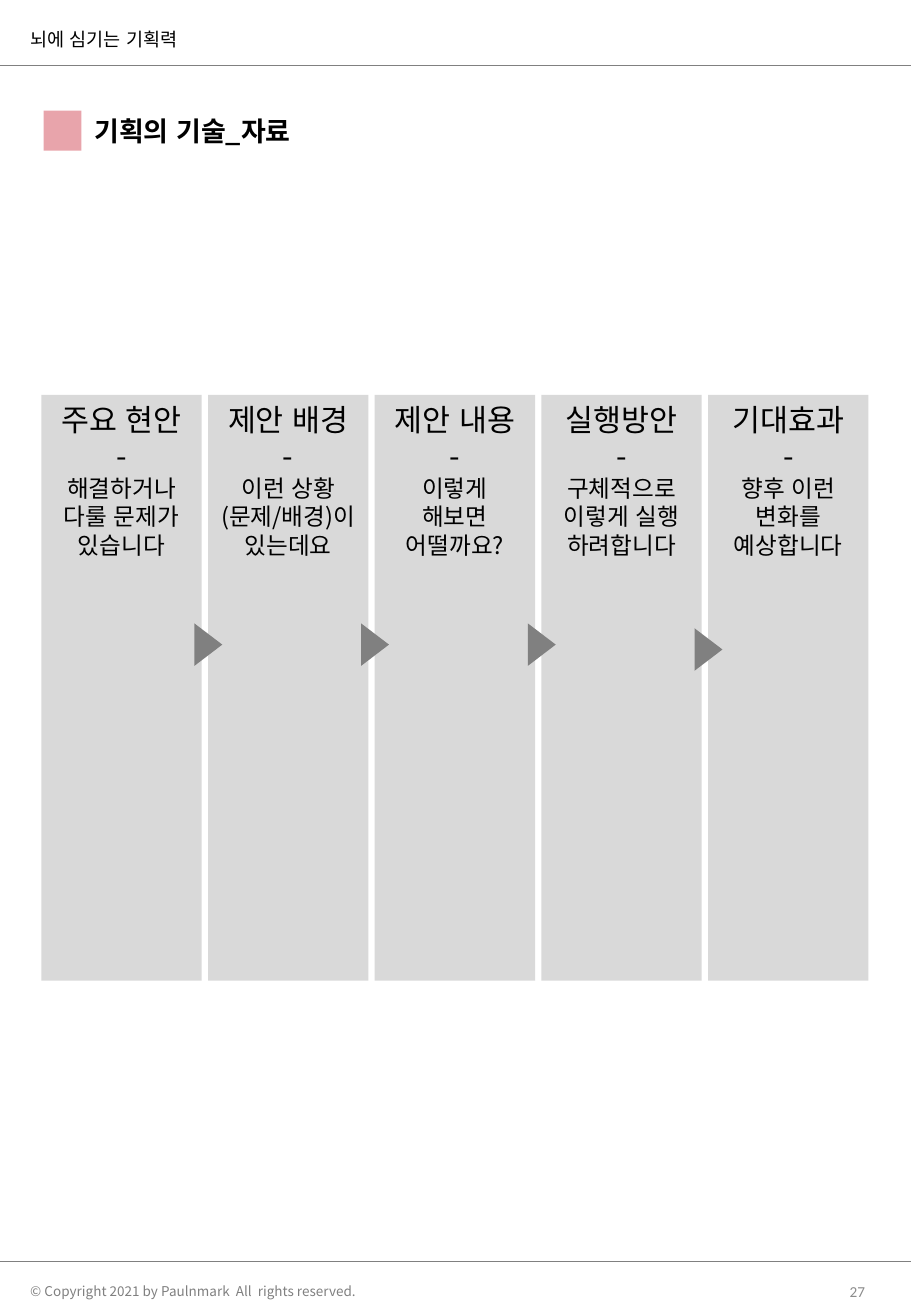
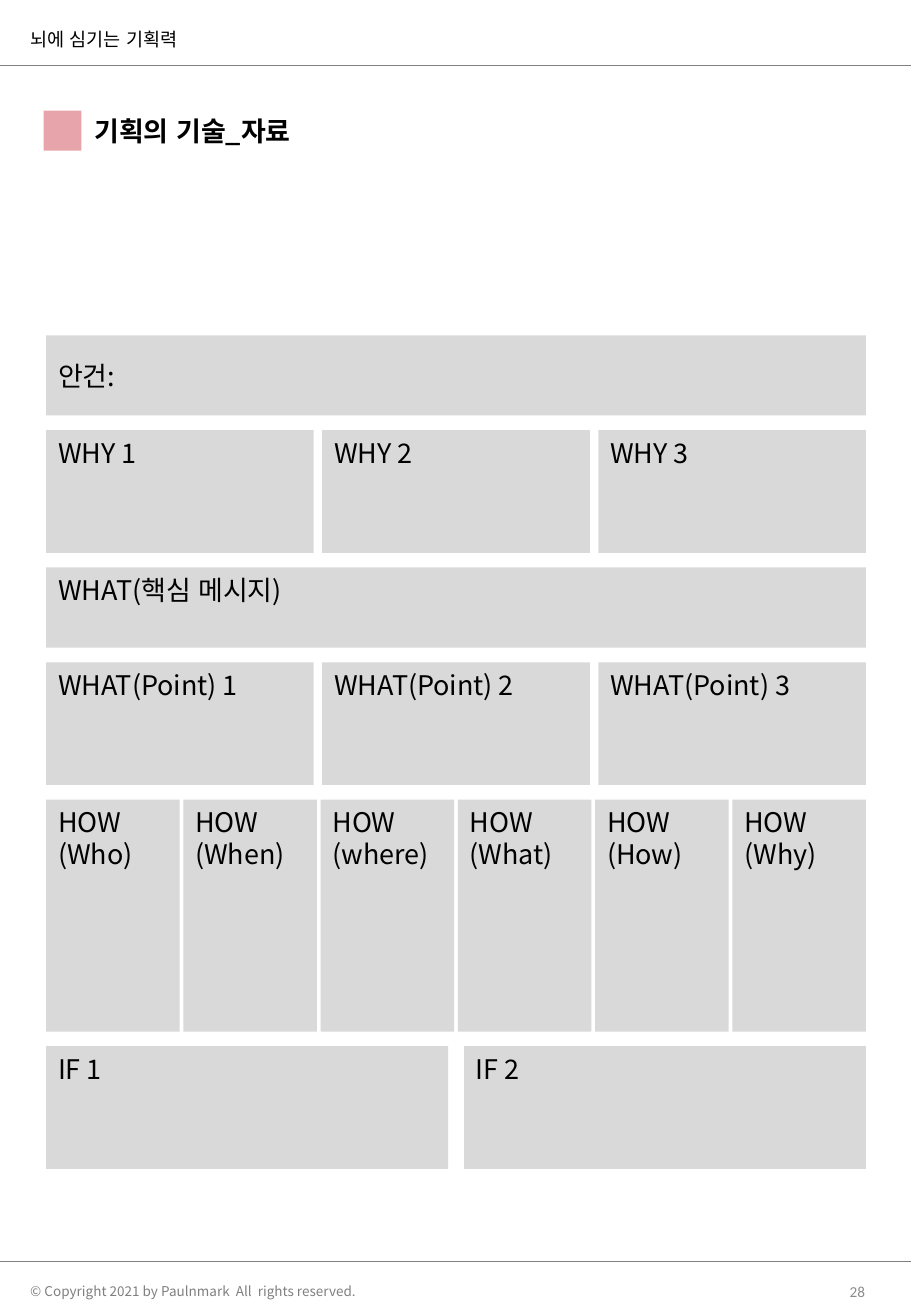
from dataclasses import dataclass
from lxml import etree
from pptx import Presentation
from pptx.dml.color import RGBColor
from pptx.enum.lang import MSO_LANGUAGE_ID
from pptx.enum.shapes import MSO_CONNECTOR, MSO_SHAPE
from pptx.enum.text import MSO_ANCHOR, PP_ALIGN
from pptx.oxml.ns import qn
from pptx.util import Inches, Pt

RECT, ARROW = MSO_SHAPE.RECTANGLE, MSO_SHAPE.ISOSCELES_TRIANGLE
LINE = MSO_CONNECTOR.STRAIGHT
TOP, MIDDLE = MSO_ANCHOR.TOP, MSO_ANCHOR.MIDDLE
LEFT, CENTER, RIGHT = PP_ALIGN.LEFT, PP_ALIGN.CENTER, PP_ALIGN.RIGHT
KOREAN = MSO_LANGUAGE_ID.KOREAN


@dataclass(frozen=True)
class Theme:
    font: str = "Noto Sans CJK KR"
    digit: str = "Calibri"
    ink: RGBColor = RGBColor(0, 0, 0)
    panel: RGBColor = RGBColor(0xD9, 0xD9, 0xD9)
    gray: RGBColor = RGBColor(0x80, 0x80, 0x80)
    number: RGBColor = RGBColor(0x8C, 0x8C, 0x8C)
    accent: RGBColor = RGBColor(0xC7, 0x1C, 0x2D)
    title: int = 16
    head: int = 18
    body: int = 14
    label: int = 16
    topic: int = 11
    legal: int = 8
    page: int = 9


theme = Theme()


def block(slide, kind, x, y, w, h, color):
    """Add a plain filled shape."""
    shape = slide.shapes.add_shape(kind, Inches(x), Inches(y), Inches(w), Inches(h))
    shape.shadow.inherit = False
    shape.fill.solid()
    shape.fill.fore_color.rgb = color
    shape.line.fill.background()
    return shape


def write(shape, lines, align=LEFT, anchor=TOP, color=theme.ink,
          face=theme.font, bold=False, spacing=None):
    """Fill a shape with (text, size) paragraphs."""
    frame = shape.text_frame
    frame.word_wrap = True
    frame.vertical_anchor = anchor
    for i, (text, size) in enumerate(lines):
        para = frame.add_paragraph() if i else frame.paragraphs[0]
        para.text = text
        para.alignment = align
        para.line_spacing = spacing
        font = para.font
        font.size, font.bold = Pt(size), bold
        font.color.rgb = color
        font.name = face
        font.language_id = KOREAN
        # East Asian typeface
        props = para._p.pPr.find(qn("a:defRPr"))
        etree.SubElement(props, qn("a:ea")).set("typeface", face)


deck = Presentation()
deck.slide_width, deck.slide_height = Inches(7.5), Inches(10.83)

# Shared frame: marker, rules, title, header, footer
frames = [
    (0.15, 10.51, 3.51, 0.23,
     "© Copyright 2021 by Paulnmark  All  rights reserved.", theme.legal,
     dict(color=theme.gray)),
    (0.68, 0.92, 6.47, 0.59, "기획의 기술_자료", theme.title,
     dict(bold=True, spacing=0.9)),
    (0.15, 0.2, 6.06, 0.43, "뇌에 심기는 기획력", theme.topic,
     dict(spacing=0.9)),
]
pages = []
for number in (27, 28):
    slide = deck.slides.add_slide(deck.slide_layouts[6])
    pages.append(slide)
    mark = block(slide, RECT, 0.36, 0.91, 0.31, 0.33, theme.accent)
    tint = mark._element.spPr.find(qn("a:solidFill"))[0]
    etree.SubElement(tint, qn("a:alpha")).set("val", "40000")
    for y in (0.54, 10.38):
        rule = slide.shapes.add_connector(LINE, 0, Inches(y), deck.slide_width, Inches(y))
        rule.line.color.rgb = theme.gray
        rule.line.width = Pt(0.25)
        etree.SubElement(rule._element.spPr, qn("a:effectLst"))
    folio = (5.53, 10.34, 1.69, 0.58, str(number), theme.page,
             dict(color=theme.number, face=theme.digit, align=RIGHT, anchor=MIDDLE))
    for x, y, w, h, text, size, style in frames + [folio]:
        box = slide.shapes.add_textbox(Inches(x), Inches(y), Inches(w), Inches(h))
        write(box, [(text, size)], **style)

flow, sheet = pages

# Five proposal steps
steps = [
    ("주요 현안", ["해결하거나", "다룰 문제가 있습니다"]),
    ("제안 배경", ["이런 상황", "(문제/배경)이 있는데요"]),
    ("제안 내용", ["이렇게 해보면 어떨까요?"]),
    ("실행방안", ["구체적으로 이렇게 실행 하려합니다"]),
    ("기대효과", ["향후 이런 변화를 예상합니다"]),
]
pitch = 1.3725
for i, (head, body) in enumerate(steps):
    panel = block(flow, RECT, 0.34 + i * pitch, 3.25, 1.32, 4.82, theme.panel)
    lines = [(head, theme.head), ("-", theme.head)]
    write(panel, lines + [(text, theme.body) for text in body], CENTER)

# Arrows over the gaps; the last sits slightly lower
for i, y in enumerate((5.19, 5.19, 5.19, 5.23)):
    arrow = block(flow, ARROW, 1.54 + i * pitch, y, 0.35, 0.23, theme.gray)
    arrow.rotation = 90

# Planning sheet: height, column gap, anchor, cells
rows = [
    (0.66, 0, MIDDLE, ["안건:"]),
    (1.01, 0.07, TOP, [f"WHY {n}" for n in (1, 2, 3)]),
    (0.66, 0, TOP, ["WHAT(핵심 메시지)"]),
    (1.01, 0.07, TOP, [f"WHAT(Point) {n}" for n in (1, 2, 3)]),
    (1.91, 0.03, TOP, [f"HOW\n({word})" for word in
                       ("Who", "When", "where", "What", "How", "Why")]),
    (1.01, 0.13, TOP, ["IF 1", "IF 2"]),
]
y = 2.76
for high, gap, anchor, cells in rows:
    wide = (6.75 - gap * (len(cells) - 1)) / len(cells)
    for i, cell in enumerate(cells):
        panel = block(sheet, RECT, 0.38 + i * (wide + gap), y, wide, high, theme.panel)
        write(panel, [(text, theme.label) for text in cell.split("\n")], anchor=anchor)
    y += high + 0.12

deck.save("out.pptx")
